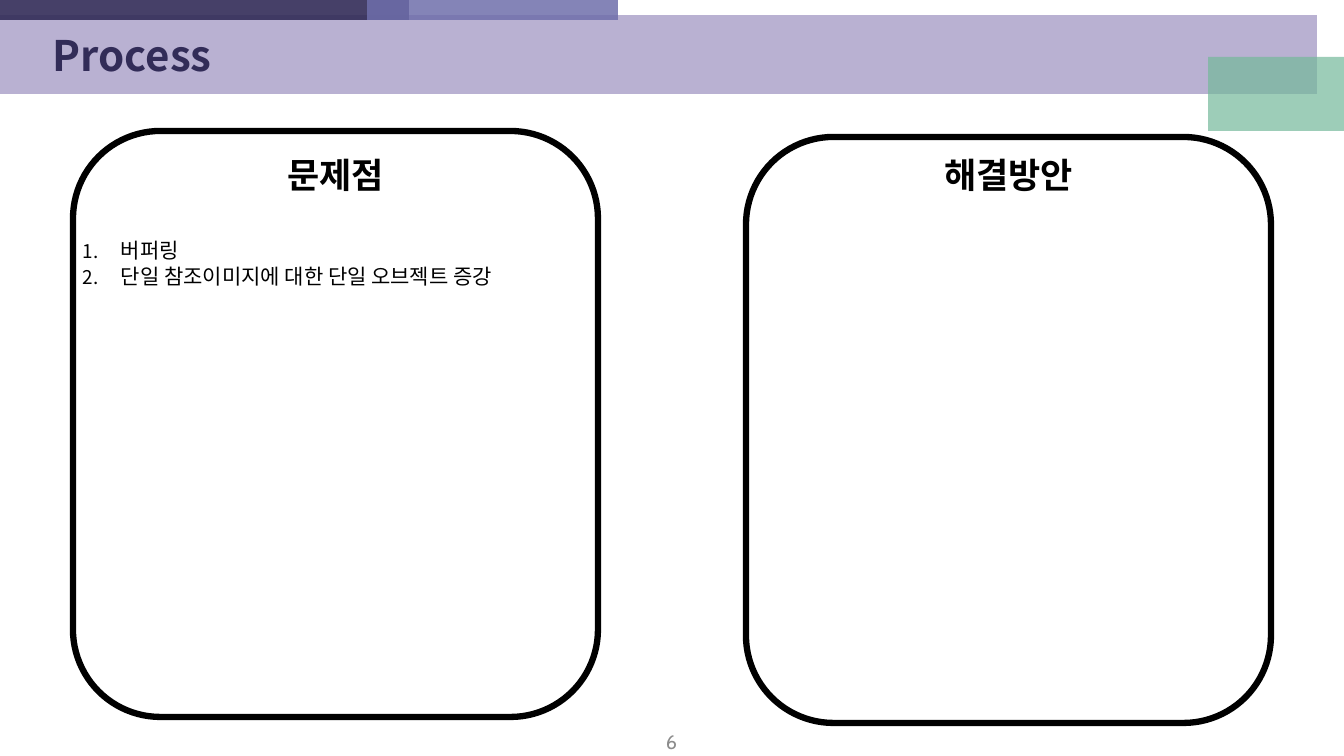
from lxml.etree import SubElement
from pptx import Presentation
from pptx.dml.color import RGBColor
from pptx.enum.shapes import MSO_SHAPE as SHAPE
from pptx.enum.text import MSO_ANCHOR as ANCHOR, PP_ALIGN as ALIGN
from pptx.oxml.ns import qn
from pptx.util import Pt

PX = 914400 / 100.8
KOREAN, LATIN = "Noto Sans CJK KR", "Cabin"
WHITE = RGBColor(0xFF, 0xFF, 0xFF)
BLACK = RGBColor(0x00, 0x00, 0x00)
GRAY = RGBColor(0x8C, 0x8C, 0x8C)
LILAC = RGBColor(0x9C, 0x90, 0xBF)
GREEN = RGBColor(0x74, 0xB9, 0x9A)
NAVY = RGBColor(0x32, 0x2C, 0x58)
VIOLET = RGBColor(0x6F, 0x6F, 0xAB)


def emu(*lengths):
    return [round(length * PX) for length in lengths]


def add_text(box, lines, size, font=KOREAN, color=BLACK, bold=False,
             align=ALIGN.LEFT, anchor=ANCHOR.TOP, numbered=False, gap=0):
    frame = slide.shapes.add_textbox(*emu(*box)).text_frame if isinstance(box, tuple) else box
    frame.word_wrap = True
    frame.vertical_anchor = anchor
    for index, line in enumerate(lines):
        first = frame.paragraphs[0]
        paragraph = frame.add_paragraph() if first.runs else first
        paragraph.alignment = align
        paragraph.space_before = Pt(0 if index else gap)
        run = paragraph.add_run()
        run.text = line
        run.font.size, run.font.name, run.font.bold = Pt(size), font, bold
        run.font.color.rgb = color
        SubElement(run.font._element, qn("a:ea"), typeface=font)
        if numbered:
            properties = paragraph._p.get_or_add_pPr()
            indent = emu(38)[0]
            properties.set("marL", str(indent))
            properties.set("indent", str(-indent))
            SubElement(properties, qn("a:buSzPct"), val="90000")
            SubElement(properties, qn("a:buFont"), typeface=font)
            SubElement(properties, qn("a:buAutoNum"), type="arabicPeriod")
    return frame


deck = Presentation()
deck.slide_width, deck.slide_height = emu(1344, 756)
slide = deck.slides.add_slide(deck.slide_layouts[6])

for box, color, opacity in [
    ((0, 15, 1317, 79), LILAC, 70),
    ((1208, 57, 136, 74), GREEN, 70),
    ((0, 0, 409, 20), NAVY, 90),
    ((367, 0, 251, 20), VIOLET, 85),
]:
    band = slide.shapes.add_shape(SHAPE.RECTANGLE, *emu(*box))
    band.shadow.inherit = False
    band.fill.solid()
    band.fill.fore_color.rgb = color
    band.line.fill.background()
    tint = band._element.spPr.find(qn("a:solidFill"))[0]
    SubElement(tint, qn("a:alpha"), val=str(opacity * 1000))

add_text((515, 728, 313, 27), ["6"], 14, font=LATIN, color=GRAY,
         align=ALIGN.CENTER, anchor=ANCHOR.MIDDLE)
add_text((43, 20, 1255, 70), ["Process"], 30, color=NAVY, bold=True, anchor=ANCHOR.MIDDLE)

for left, top, heading, items in [
    (73, 131, "문제점", ["버퍼링", "단일 참조이미지에 대한 단일 오브젝트 증강"]),
    (746, 137, "해결방안", []),
]:
    panel = slide.shapes.add_shape(SHAPE.ROUNDED_RECTANGLE, *emu(left, top, 525, 586))
    panel.shadow.inherit = False
    panel.fill.solid()
    panel.fill.fore_color.rgb = WHITE
    panel.line.color.rgb = BLACK
    panel.line.width = Pt(4.5)
    body = add_text((left, 149, 525, 560), [heading], 25, bold=True, align=ALIGN.CENTER)
    add_text(body, items, 15, numbered=True, gap=30)

deck.save("out.pptx")
